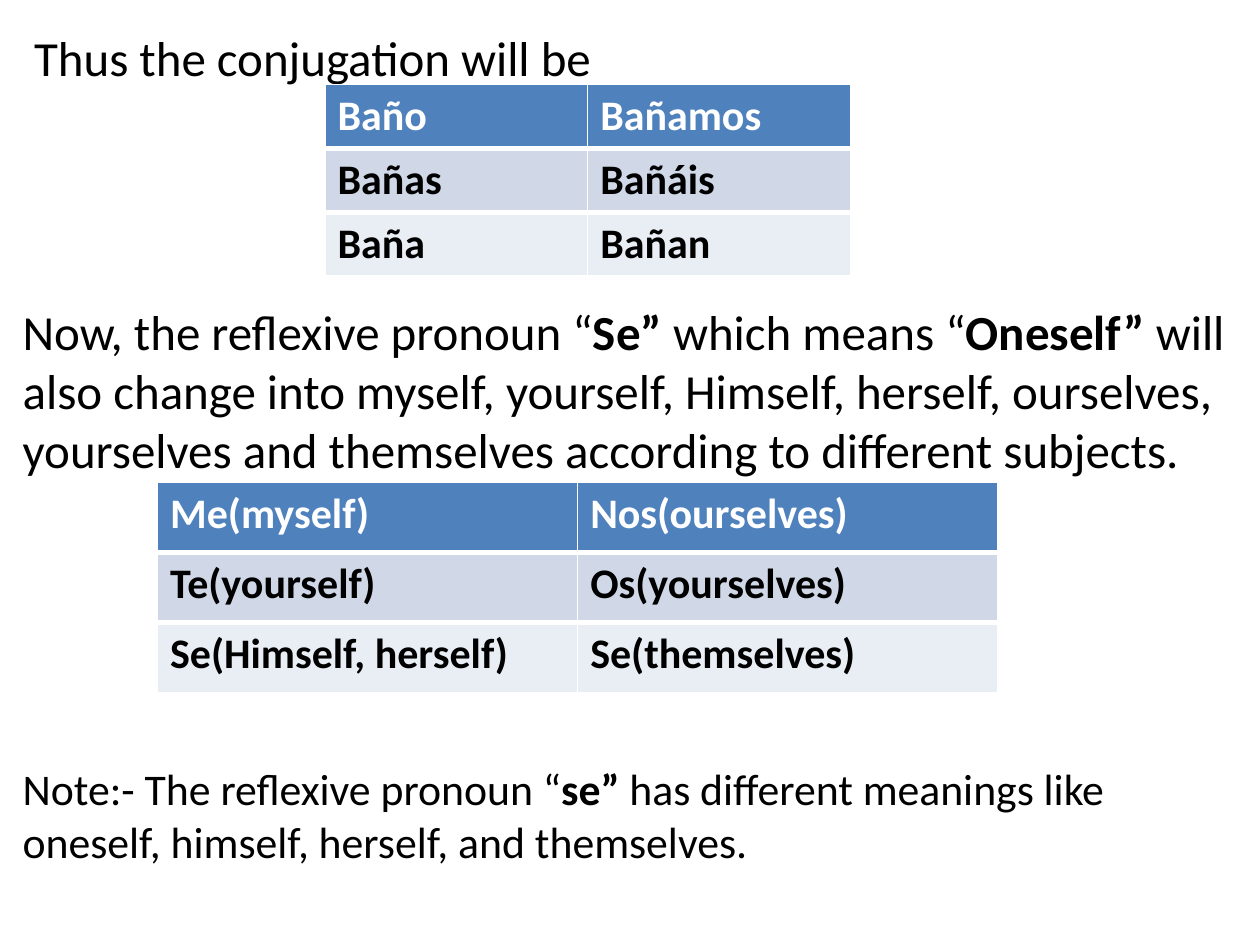
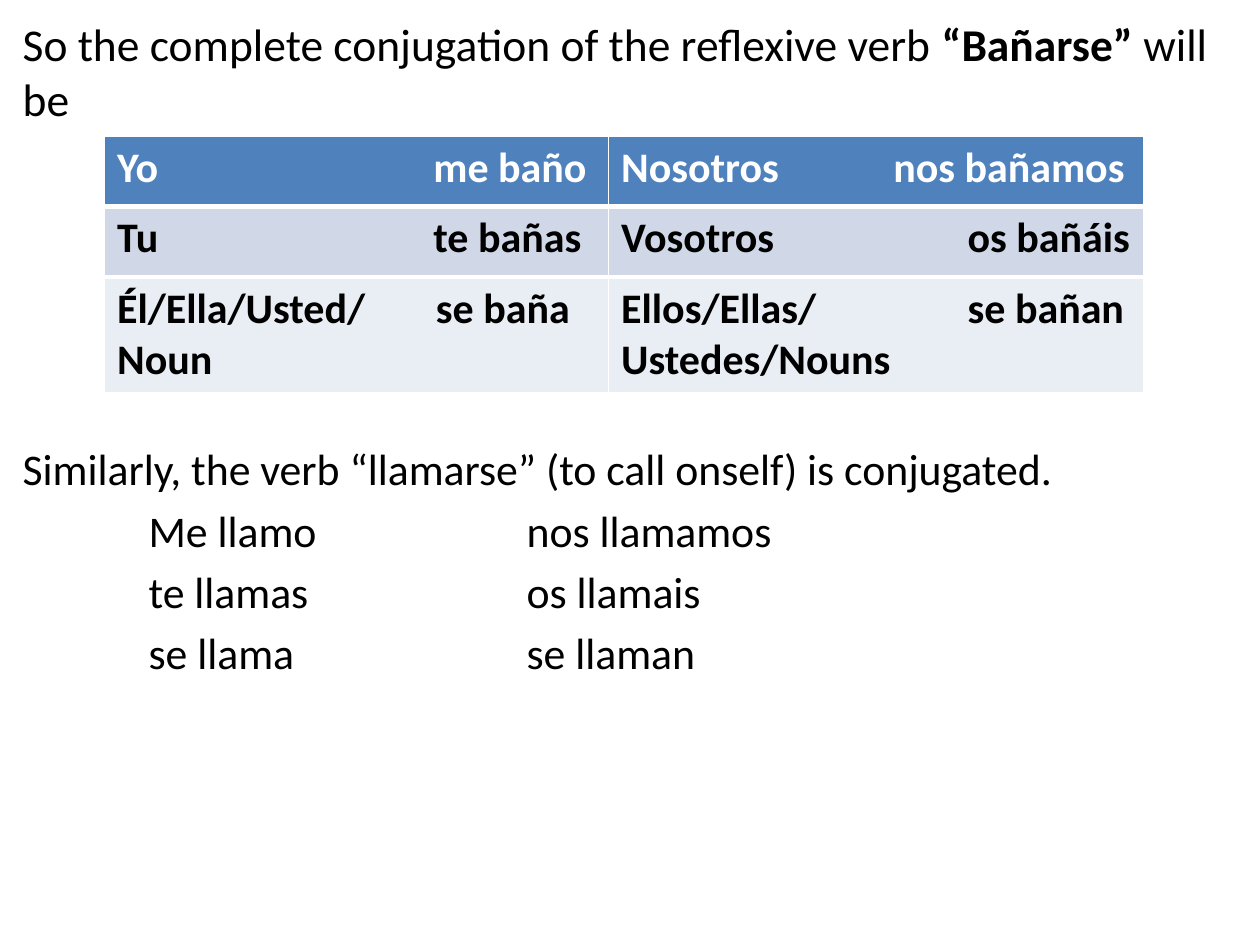
from pptx import Presentation
from pptx.dml.color import RGBColor
from pptx.enum.text import MSO_ANCHOR, MSO_AUTO_SIZE
from pptx.oxml.ns import qn
from pptx.util import Inches, Pt
from lxml.etree import SubElement

FONT = "Calibri"
BLACK, WHITE = "000000", "FFFFFF"
ROW_FILLS = ["4F81BD", "D0D8E8", "E9EDF4"]
TABLE_TEXT_SIZE = 24
HEADER_RULE_WIDTH = 3

SLIDES = [
    {
        "body_box": (0.08, 0.17, 9.83, 7.25),
        "paragraphs": [
            {"size": 28, "before": 0, "left": 0.09,
             "runs": [("Thus the conjugation will be", False)]},
            {"size": 28, "before": 123,
             "runs": [("Now, the reflexive pronoun “", False), ("Se” ", True),
                      ("which means “", False), ("Oneself”", True),
                      (" will also change into myself, yourself, Himself, herself, "
                       "ourselves, yourselves and themselves according to different "
                       "subjects.", False)]},
            {"size": 25, "before": 162,
             "runs": [("Note:- The reflexive pronoun “", False), ("se” ", True),
                      ("has different meanings like oneself, himself, herself, "
                       "and themselves.", False)]},
        ],
        "tables": [
            {"at": (2.58, 0.67), "columns": [4.17 / 2] * 2, "rows": [0.5] * 3,
             "cells": [["Baño", "Bañamos"], ["Bañas", "Bañáis"], ["Baña", "Bañan"]]},
            {"at": (1.25, 3.83), "columns": [6.67 / 2] * 2, "rows": [1.67 / 3] * 3,
             "cells": [["Me(myself)", "Nos(ourselves)"],
                       ["Te(yourself)", "Os(yourselves)"],
                       ["Se(Himself, herself)", "Se(themselves)"]]},
        ],
    },
    {
        "body_box": (0.08, 0.08, 9.75, 7.33),
        "paragraphs": [
            {"size": 26, "before": 0,
             "runs": [("So the complete conjugation of the reflexive verb ", False),
                      ("“Bañarse” ", True), ("will be", False)]},
            {"size": 25, "before": 181,
             "runs": [("Similarly, the verb “llamarse” (to call onself) "
                       "is conjugated.", False)]},
        ] + [
            {"size": 25, "before": 5, "tab": 1,
             "runs": [(f"\t{singular}\t\t{plural}", False)]}
            for singular, plural in [("Me llamo", "nos llamamos"),
                                     ("te llamas", "os llamais"),
                                     ("se llama", "se llaman")]
        ],
        "tables": [
            {"at": (0.83, 1.08), "columns": [4, 4.25], "rows": [0.56, 0.56, 0.91],
             "tabs": [[2.51, 2.16], [2.51, 2.75], [2.53, 2.75]],
             "cells": [["Yo\tme baño", "Nosotros\tnos bañamos"],
                       ["Tu\tte bañas", "Vosotros\tos bañáis"],
                       ["Él/Ella/Usted/\tse baña\nNoun",
                        "Ellos/Ellas/\tse bañan\nUstedes/Nouns"]]},
        ],
    },
]


def color(hex_value):
    return RGBColor.from_string(hex_value)


def add_run(paragraph, text, size, bold, hex_value):
    run = paragraph.add_run()
    run.text = text
    run.font.name = FONT
    run.font.size = Pt(size)
    run.font.bold = bold
    run.font.color.rgb = color(hex_value)


def remove_bullet(paragraph, left):
    properties = paragraph._p.get_or_add_pPr()
    properties.set("marL", str(Inches(left)))
    properties.set("indent", "0")
    SubElement(properties, qn("a:buNone"))


def set_tab(paragraph, position):
    properties = paragraph._p.get_or_add_pPr()
    properties.set("defTabSz", str(Inches(position)))
    tab_list = SubElement(properties, qn("a:tabLst"))
    SubElement(tab_list, qn("a:tab"), pos=str(Inches(position)), algn="l")


def set_border(cell, side):
    properties = cell._tc.get_or_add_tcPr()
    line = SubElement(properties, qn(f"a:{side}"), w=str(Pt(HEADER_RULE_WIDTH)))
    fill = SubElement(line, qn("a:solidFill"))
    SubElement(fill, qn("a:srgbClr"), val=WHITE)
    properties.insert(0, line)


def next_paragraph(text_frame, index):
    return text_frame.add_paragraph() if index else text_frame.paragraphs[0]


def fill_body(body, box, paragraphs):
    body.left, body.top, body.width, body.height = map(Inches, box)
    text_frame = body.text_frame
    text_frame.word_wrap = True
    text_frame.auto_size = MSO_AUTO_SIZE.NONE
    text_frame.vertical_anchor = MSO_ANCHOR.TOP
    for index, item in enumerate(paragraphs):
        paragraph = next_paragraph(text_frame, index)
        remove_bullet(paragraph, item.get("left", 0))
        if "tab" in item:
            set_tab(paragraph, item["tab"])
        paragraph.space_before = Pt(item["before"])
        for text, bold in item["runs"]:
            add_run(paragraph, text, item["size"], bold, BLACK)


def add_verb_table(slide, at, columns, rows, cells, tabs=None):
    box = (*at, sum(columns), sum(rows))
    table = slide.shapes.add_table(len(rows), len(columns), *map(Inches, box)).table
    for column, width in zip(table.columns, columns):
        column.width = Inches(width)
    for row_index, height in enumerate(rows):
        table.rows[row_index].height = Inches(height)
        for column_index, text in enumerate(cells[row_index]):
            cell = table.cell(row_index, column_index)
            cell.margin_right = Inches(0.05)
            cell.fill.solid()
            cell.fill.fore_color.rgb = color(ROW_FILLS[row_index])
            if row_index < 2:
                set_border(cell, ("lnB", "lnT")[row_index])
            for index, line in enumerate(text.split("\n")):
                paragraph = next_paragraph(cell.text_frame, index)
                if tabs:
                    set_tab(paragraph, tabs[row_index][column_index])
                add_run(paragraph, line, TABLE_TEXT_SIZE, True,
                        BLACK if row_index else WHITE)


def main():
    """Build the two slides on reflexive verb conjugation."""
    presentation = Presentation()
    presentation.slide_width, presentation.slide_height = Inches(10), Inches(7.5)
    for content in SLIDES:
        slide = presentation.slides.add_slide(presentation.slide_layouts[1])
        title = slide.shapes.title.element
        title.getparent().remove(title)
        fill_body(slide.placeholders[1], content["body_box"], content["paragraphs"])
        for table in content["tables"]:
            add_verb_table(slide, **table)
    presentation.save("out.pptx")


if __name__ == "__main__":
    main()
